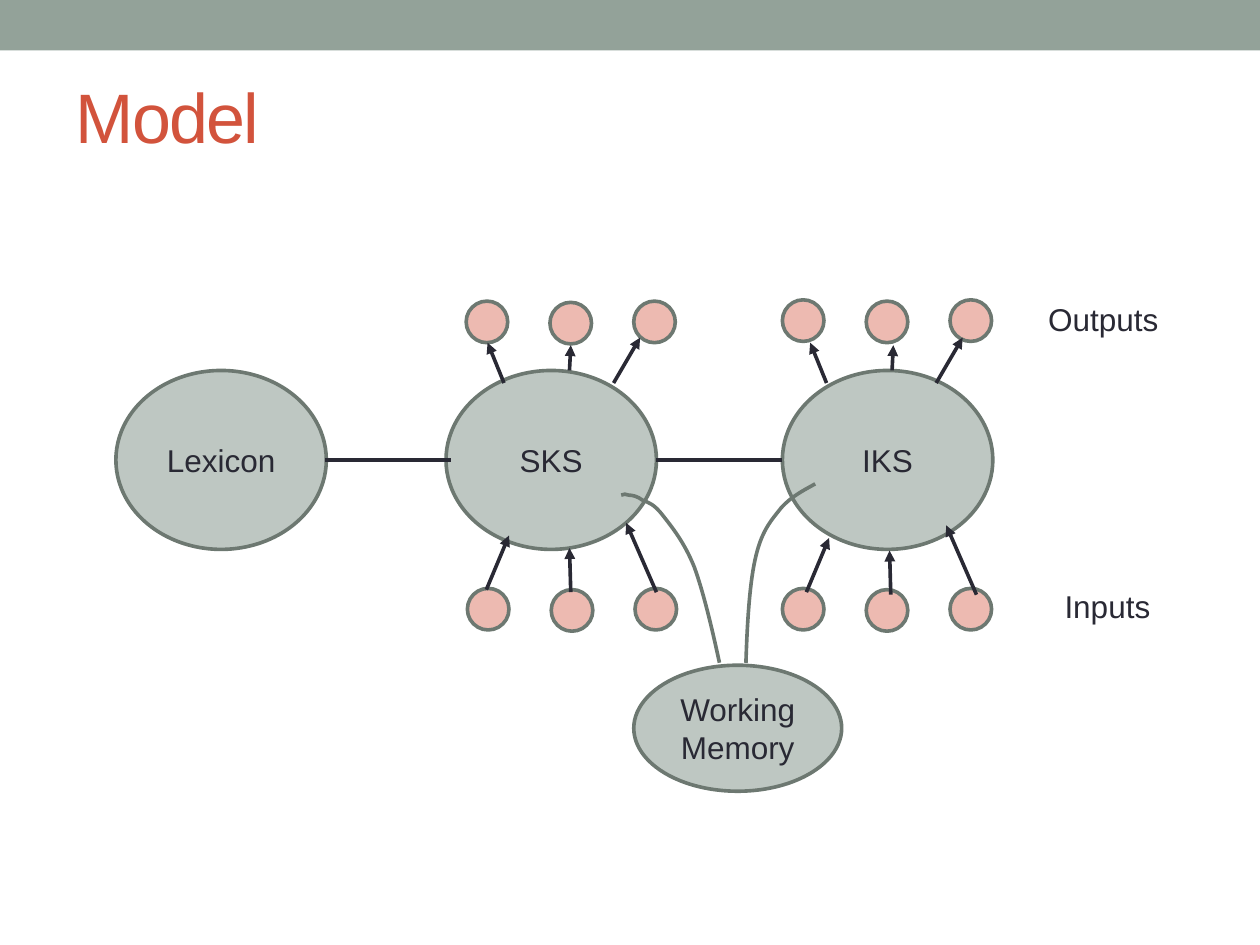
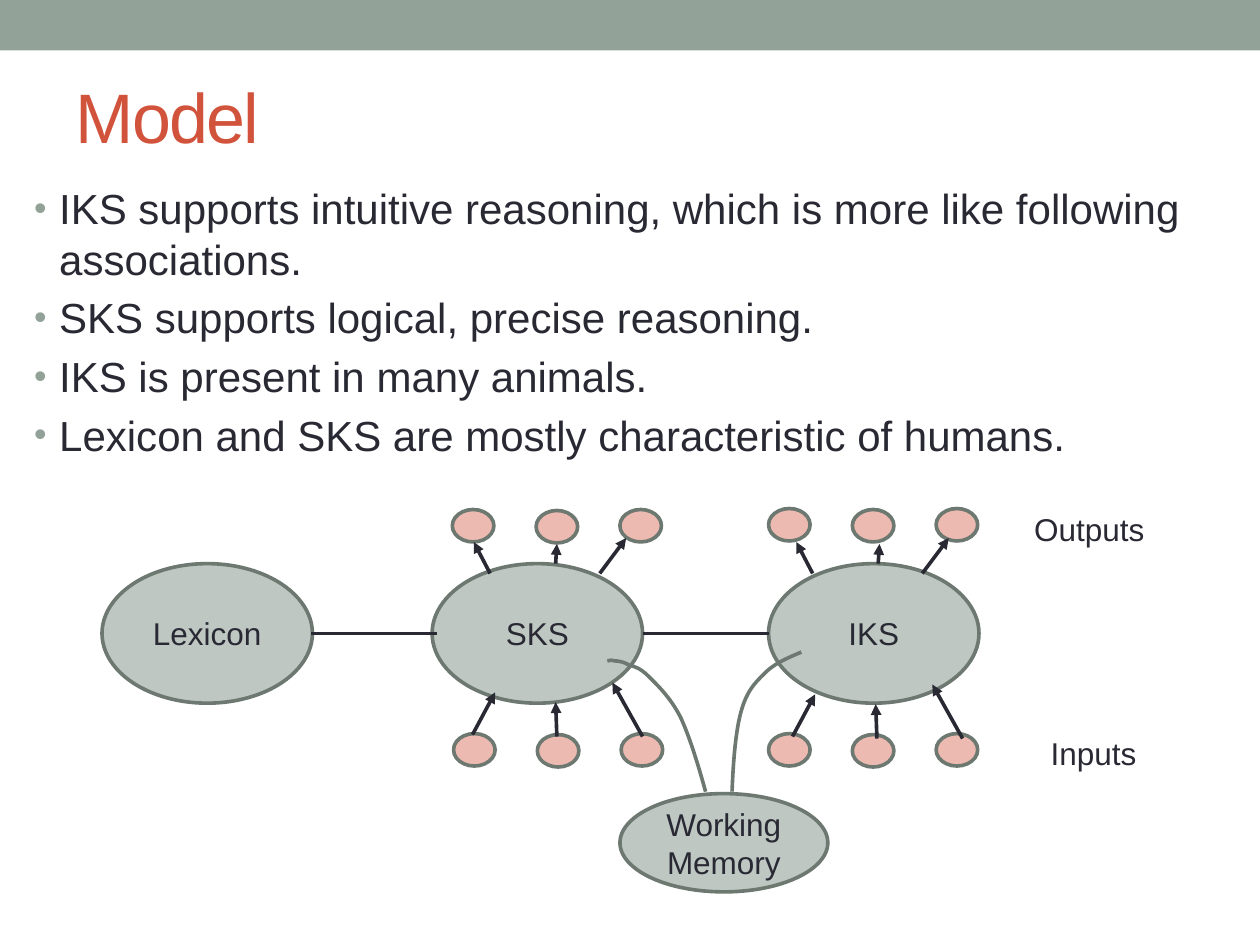
from dataclasses import dataclass

import lxml.etree
import pptx
import pptx.dml.color
import pptx.enum.shapes
import pptx.enum.text
import pptx.oxml.ns
import pptx.util
from pptx.util import Inches

# Shared look
FONT = "Arial"
BAND, TITLE, TEXT = "93A299", "D2533C", "292934"
SYSTEM_FILL, UNIT_FILL, OUTLINE = "BEC7C2", "EDBAB1", "6D7871"
LINE_WIDTH = pptx.util.Pt(2.08)
UNIT_SIZE, UNIT_STEP = 0.33, 0.665
LABEL_HEIGHT = 0.4
ELLIPSE = pptx.enum.shapes.MSO_SHAPE.OVAL
RECTANGLE = pptx.enum.shapes.MSO_SHAPE.RECTANGLE
STRAIGHT = pptx.enum.shapes.MSO_CONNECTOR.STRAIGHT
LEFT, CENTER = pptx.enum.text.PP_ALIGN.LEFT, pptx.enum.text.PP_ALIGN.CENTER
MIDDLE = pptx.enum.text.MSO_ANCHOR.MIDDLE

Point = tuple[float, float]


@dataclass(frozen=True)
class Frame:
    """Maps diagram coordinates onto a slide; only heights are scaled."""
    shift_x: float = 0
    shift_y: float = 0
    scale_y: float = 1

    def point(self, x: float, y: float) -> Point:
        return Inches(x + self.shift_x), Inches(y * self.scale_y + self.shift_y)

    def box(self, left: float, top: float, width: float, height: float) -> tuple:
        return *self.point(left, top), Inches(width), Inches(height * self.scale_y)


@dataclass(frozen=True)
class System:
    name: str
    left: float
    top: float = 2.94
    width: float = 1.67
    height: float = 1.42


@dataclass(frozen=True)
class UnitRow:
    left: float
    top: float
    arrows: list[tuple[Point, Point]]  # relative to the row's corner
    arrow_shift: Point = (0, 0)


@dataclass(frozen=True)
class Label:
    text: str
    left: float
    top: float
    width: float


# The model
SYSTEMS = [System("SKS", 3.54), System("IKS", 6.21), System("Lexicon", 0.92),
           System("Working Memory", 5.03, 5.28, 1.65, 1)]
LINKS = [((2.58, 3.65), (3.58, 3.65)), ((5.21, 3.65), (6.21, 3.65))]
INPUT_ARROWS = [((0.15, 0.01), (0.33, -0.42)), ((0.82, 0.03), (0.81, -0.32)),
                ((1.5, 0.03), (1.26, -0.52))]
OUTPUT_ARROWS = [((0.3, 0.65), (0.17, 0.33)), ((0.82, 0.55), (0.83, 0.35)),
                 ((1.17, 0.65), (1.38, 0.29))]
UNIT_ROWS = [UnitRow(3.71, 4.67, INPUT_ARROWS),
             UnitRow(6.21, 4.67, INPUT_ARROWS, (0.04, 0.02)),
             UnitRow(3.7, 2.39, OUTPUT_ARROWS),
             UnitRow(6.21, 2.38, OUTPUT_ARROWS, (0.05, 0.01))]
LABELS = [Label("Inputs", 8.35, 4.61, 0.89), Label("Outputs", 8.22, 2.33, 1.09)]
# Each curve: a start, then two control points and an end per segment
MEMORY_CURVES = [
    [(5.71, 5.26), (5.65, 4.98), (5.58, 4.69), (5.51, 4.5),
     (5.43, 4.3), (5.33, 4.18), (5.26, 4.09),
     (5.19, 4), (5.15, 3.99), (5.1, 3.97),
     (5.06, 3.94), (5.02, 3.93), (4.99, 3.93),
     (4.97, 3.92), (4.95, 3.92), (4.93, 3.93)],
    [(5.92, 5.26), (5.93, 4.94), (5.95, 4.61), (6, 4.41),
     (6.05, 4.2), (6.13, 4.12), (6.2, 4.03),
     (6.28, 3.94), (6.38, 3.89), (6.47, 3.84)],
]
STATEMENTS = [
    "IKS supports intuitive reasoning, which is more like following associations.",
    "SKS supports logical, precise reasoning.",
    "IKS is present in many animals.",
    "Lexicon and SKS are mostly characteristic of humans.",
]


# Helpers
def rgb(color: str) -> pptx.dml.color.RGBColor:
    return pptx.dml.color.RGBColor.from_string(color)


def add_xml(parent, tag: str, **attributes: str):
    return lxml.etree.SubElement(parent, pptx.oxml.ns.qn(tag), attributes)


def place(shape, left: float, top: float, width: float, height: float) -> None:
    shape.left, shape.top = Inches(left), Inches(top)
    shape.width, shape.height = Inches(width), Inches(height)


def set_font(paragraph, size: float, color: str = TEXT) -> None:
    paragraph.font.name = FONT
    paragraph.font.size = pptx.util.Pt(size)
    paragraph.font.color.rgb = rgb(color)


def set_line(shape, color: str) -> None:
    shape.line.color.rgb = rgb(color)
    shape.line.width = LINE_WIDTH


def add_ellipse(shapes, box: tuple, fill: str):
    ellipse = shapes.add_shape(ELLIPSE, *box)
    ellipse.shadow.inherit = False
    ellipse.fill.solid()
    ellipse.fill.fore_color.rgb = rgb(fill)
    set_line(ellipse, OUTLINE)
    return ellipse


def add_line(shapes, frame: Frame, start: Point, end: Point, arrow: bool = False) -> None:
    connector = shapes.add_connector(STRAIGHT, *frame.point(*start), *frame.point(*end))
    set_line(connector, TEXT)
    if arrow:
        add_xml(connector.line._get_or_add_ln(), "a:tailEnd", type="triangle")
    add_xml(connector._element.spPr, "a:effectLst")


def add_curve(shapes, frame: Frame, points: list[Point]) -> None:
    start, *others = [frame.point(*point) for point in points]
    builder = shapes.build_freeform(*start)
    builder.add_line_segments(others, close=False)
    curve = builder.convert_to_shape()
    curve.shadow.inherit = False
    curve.fill.background()
    set_line(curve, OUTLINE)
    # Turn every three straight steps into one Bézier segment
    outline = curve._element.find(".//" + pptx.oxml.ns.qn("a:path"))
    steps = outline.findall(pptx.oxml.ns.qn("a:lnTo"))
    for index in range(0, len(steps), 3):
        segment = add_xml(outline, "a:cubicBezTo")
        for step in steps[index:index + 3]:
            segment.append(step[0])
            outline.remove(step)


# Parts of the slides
def add_system(shapes, frame: Frame, system: System) -> None:
    ellipse = add_ellipse(
        shapes, frame.box(system.left, system.top, system.width, system.height), SYSTEM_FILL)
    text_frame = ellipse.text_frame
    text_frame.word_wrap = True
    text_frame.vertical_anchor = MIDDLE
    text_frame.text = system.name
    text_frame.paragraphs[0].alignment = CENTER
    set_font(text_frame.paragraphs[0], 18)


def add_unit_row(shapes, frame: Frame, row: UnitRow) -> None:
    for index in range(3):
        top = row.top + (0.01 if index == 1 else 0)
        add_ellipse(shapes, frame.box(row.left + index * UNIT_STEP, top, UNIT_SIZE, UNIT_SIZE),
                    UNIT_FILL)
    left, top = row.left + row.arrow_shift[0], row.top + row.arrow_shift[1]
    for arrow in row.arrows:
        start, end = [(left + x, top + y) for x, y in arrow]
        add_line(shapes, frame, start, end, arrow=True)


def add_label(shapes, frame: Frame, label: Label) -> None:
    box = shapes.add_textbox(*frame.box(label.left, label.top, label.width, LABEL_HEIGHT))
    box.text_frame.text = label.text
    box.text_frame.word_wrap = False
    box.text_frame.auto_size = pptx.enum.text.MSO_AUTO_SIZE.SHAPE_TO_FIT_TEXT
    set_font(box.text_frame.paragraphs[0], 18)


def add_model(slide, frame: Frame) -> None:
    shapes = slide.shapes.add_group_shape().shapes
    for system in SYSTEMS:
        add_system(shapes, frame, system)
    for start, end in LINKS:
        add_line(shapes, frame, start, end)
    for row in UNIT_ROWS:
        add_unit_row(shapes, frame, row)
    for label in LABELS:
        add_label(shapes, frame, label)
    for points in MEMORY_CURVES:
        add_curve(shapes, frame, points)


def add_slide(presentation, layout_index: int, title_text: str):
    slide = presentation.slides.add_slide(presentation.slide_layouts[layout_index])
    # Band behind everything else
    band = slide.shapes.add_shape(RECTANGLE, 0, 0, presentation.slide_width, Inches(0.4))
    band.shadow.inherit = False
    band.fill.solid()
    band.fill.fore_color.rgb = rgb(BAND)
    band.line.fill.background()
    slide.shapes._spTree.insert(2, band._element)
    # Title
    title = slide.shapes.title
    place(title, 0.5, 0.33, 9, 1.17)
    title.text_frame.text = title_text
    title.text_frame.vertical_anchor = MIDDLE
    paragraph = title.text_frame.paragraphs[0]
    paragraph.alignment = LEFT
    set_font(paragraph, 40, TITLE)
    paragraph.font._element.set("spc", "-100")
    return slide


def fill_body(body, statements: list[str]) -> None:
    place(body, 0.17, 1.4, 9.67, 2.72)
    text_frame = body.text_frame
    text_frame.text = "\n".join(statements)
    text_frame.auto_size = pptx.enum.text.MSO_AUTO_SIZE.NONE
    for index, paragraph in enumerate(text_frame.paragraphs):
        paragraph.space_before = pptx.util.Pt(4.8 if index else 0)
        properties = paragraph._p.get_or_add_pPr()
        properties.set("marL", str(Inches(0.2)))
        properties.set("indent", str(Inches(-0.2)))
        add_xml(add_xml(properties, "a:buClr"), "a:srgbClr", val=BAND)
        add_xml(properties, "a:buSzPct", val="85000")
        add_xml(properties, "a:buFont", typeface=FONT)
        add_xml(properties, "a:buChar", char="•")
        set_font(paragraph, 24)


def main() -> None:
    presentation = pptx.Presentation()
    presentation.slide_width, presentation.slide_height = Inches(10), Inches(7.5)

    # Slide 1: the model alone
    add_model(add_slide(presentation, 5, "Model"), Frame())

    # Slide 2: statements above a flattened model
    slide = add_slide(presentation, 1, "Model")
    fill_body(slide.placeholders[1], STATEMENTS)
    add_model(slide, Frame(-0.11, 2.18, 0.78))

    presentation.save("out.pptx")


if __name__ == "__main__":
    main()
